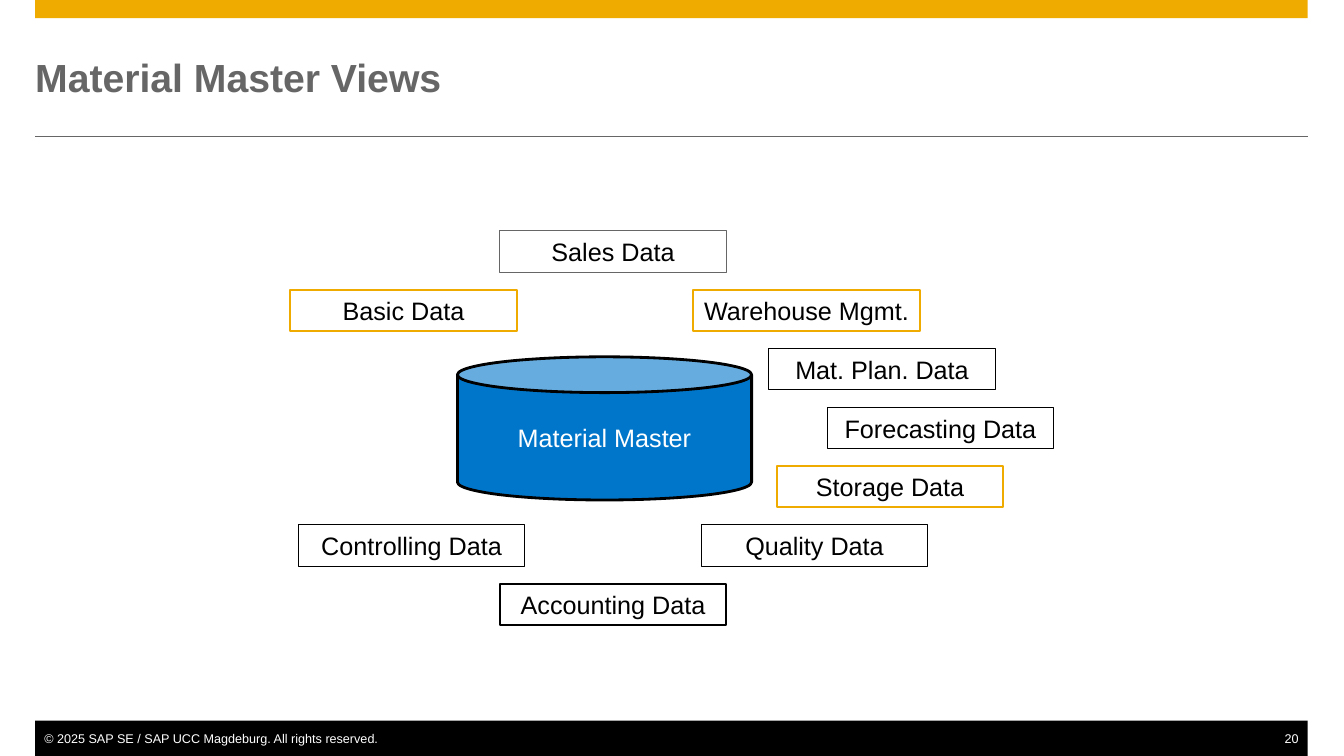
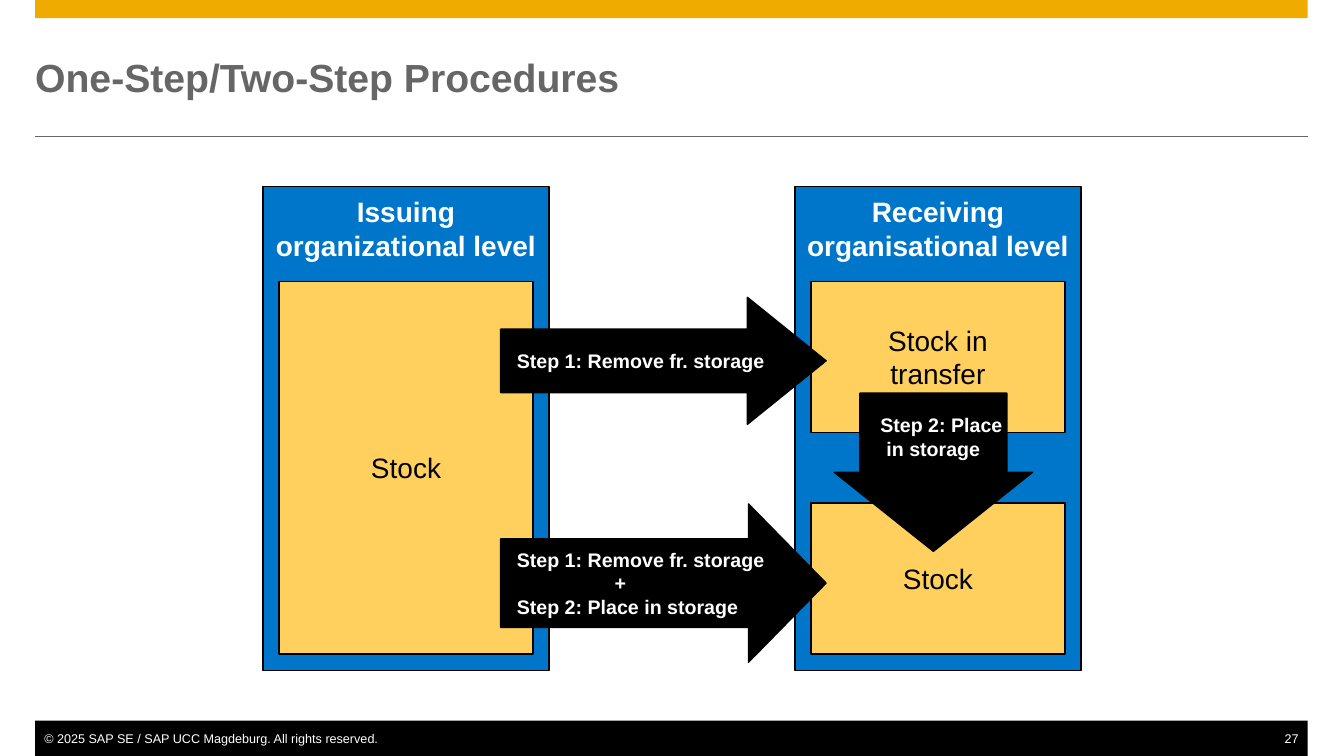
from lxml.etree import SubElement
from pptx import Presentation
from pptx.dml.color import RGBColor
from pptx.enum.shapes import MSO_CONNECTOR, MSO_SHAPE
from pptx.enum.text import MSO_ANCHOR, PP_ALIGN
from pptx.oxml.ns import qn
from pptx.util import Inches, Pt

COLORS = {
    "gold": "F0AB00",
    "sand": "FFD05D",
    "blue": "0076CB",
    "gray": "666666",
    "black": "000000",
    "white": "FFFFFF",
}
FONT = "Arial"
WIDTH, HEIGHT = 13.34, 7.5
LEFT, CONTENT = 0.35, 12.63
RIGHT = LEFT + CONTENT
FOOTER_H = 0.35
COPYRIGHT = "© 2025 SAP SE / SAP UCC Magdeburg. All rights reserved."

VIEW_W, VIEW_H = 2.25, 0.41
VIEW_TOP, VIEW_PITCH = 2.29, 3.5 / 6
VIEWS = [
    ("Sales Data", 4.96, 0, "gray", 0.75),
    ("Basic Data", 2.88, 1, "gold", 1.5),
    ("Warehouse Mgmt.", 6.88, 1, "gold", 1.5),
    ("Mat. Plan. Data", 7.63, 2, "black", 0.75),
    ("Forecasting Data", 8.21, 3, "black", 0.75),
    ("Storage Data", 7.71, 4, "gold", 1.5),
    ("Controlling Data", 2.96, 5, "black", 0.75),
    ("Quality Data", 6.96, 5, "black", 0.75),
    ("Accounting Data", 4.96, 6, "black", 1.5),
]

LEVEL_TOP, LEVEL_W, LEVEL_H = 1.85, 2.84, 4.8
ISSUING_X, RECEIVING_X = 2.61, 7.89
STOCK_PAD, STOCK_TOP = 0.16, 2.79
STOCK_H, HALF_STOCK_H = 3.7, 1.5
ARROW_X, ARROW_W = 4.97, 3.23


def rgb(name):
    return RGBColor.from_string(COLORS[name])


def write(s, text, size, color, bold=False, align=PP_ALIGN.CENTER,
          anchor=MSO_ANCHOR.MIDDLE, insets=(0, 0, 0, 0), wrap=True):
    tf = s.text_frame
    tf.text = text
    tf.word_wrap = wrap
    tf.vertical_anchor = anchor
    tf.margin_left, tf.margin_top, tf.margin_right, tf.margin_bottom = map(Inches, insets)
    for p in tf.paragraphs:
        p.alignment = align
        for r in p.runs:
            r.font.name = FONT
            r.font.size = Pt(size)
            r.font.bold = bold
            r.font.color.rgb = rgb(color)


def indent(p, left=0, first=0):
    pPr = p._p.get_or_add_pPr()
    pPr.set("marL", str(Inches(left)))
    pPr.set("indent", str(Inches(first)))


def add_box(sp, kind, at, fill=None, line=None, weight=1, adjust=()):
    s = sp.add_shape(kind, *map(Inches, at))
    s.shadow.inherit = False
    if fill:
        s.fill.solid()
        s.fill.fore_color.rgb = rgb(fill)
    else:
        s.fill.background()
    if line:
        s.line.color.rgb = rgb(line)
        s.line.width = Pt(weight)
    else:
        s.line.fill.background()
    for i, value in enumerate(adjust):
        s.adjustments[i] = value
    return s


def add_label(sp, at, text, size, color, **style):
    write(sp.add_textbox(*map(Inches, at)), text, size, color, **style)


def add_rule(sp, y):
    line = sp.add_connector(MSO_CONNECTOR.STRAIGHT, Inches(LEFT), Inches(y),
                            Inches(RIGHT), Inches(y))
    line.line.color.rgb = rgb("gray")
    line.line.width = Pt(0.5)
    SubElement(line._element.spPr, qn("a:effectLst"))


def add_page(prs, title, number):
    sp = prs.slides.add_slide(prs.slide_layouts[6]).shapes
    footer_y = HEIGHT - FOOTER_H
    add_box(sp, MSO_SHAPE.RECTANGLE, (LEFT, 0, CONTENT, 0.18), "gold")
    add_rule(sp, 1.35)
    add_box(sp, MSO_SHAPE.RECTANGLE, (LEFT, footer_y, CONTENT, FOOTER_H), "black")
    add_label(sp, (LEFT, footer_y + 0.1, 6, 0.15), COPYRIGHT, 9, "white",
              align=PP_ALIGN.LEFT, insets=(0.09, 0, 0, 0))
    add_label(sp, (RIGHT - 0.5, footer_y + 0.1, 0.5, 0.15), str(number), 9, "white",
              align=PP_ALIGN.RIGHT, insets=(0, 0, 0.09, 0))
    add_label(sp, (LEFT, 0.35, CONTENT, 0.83), title, 28, "gray", bold=True,
              align=PP_ALIGN.LEFT)
    return sp


def add_view(sp, text, x, row, line, weight):
    y = VIEW_TOP + row * VIEW_PITCH
    s = add_box(sp, MSO_SHAPE.RECTANGLE, (x, y, VIEW_W, VIEW_H), None, line, weight)
    write(s, text, 18, "black", wrap=False)


def add_level(sp, x, text):
    s = add_box(sp, MSO_SHAPE.RECTANGLE, (x, LEVEL_TOP, LEVEL_W, LEVEL_H), "blue", "black")
    write(s, text, 20, "white", bold=True, anchor=MSO_ANCHOR.TOP, insets=(0, 0.08, 0, 0))


def add_stock(sp, level_x, y, h, text):
    at = (level_x + STOCK_PAD, y, LEVEL_W - 2 * STOCK_PAD, h)
    s = add_box(sp, MSO_SHAPE.RECTANGLE, at, "sand", "black")
    write(s, text, 20, "black")


def add_step(sp, kind, at, adjust, text, **style):
    s = add_box(sp, kind, at, "black", "black", adjust=adjust)
    write(s, text, 14, "white", bold=True, **style)
    return s.text_frame.paragraphs


def build_views(prs):
    sp = add_page(prs, "Material Master Views", 20)
    can = add_box(sp, MSO_SHAPE.CAN, (4.54, 3.54, 2.92, 1.42), "blue", "black", 2, (0.25,))
    write(can, "Material Master", 18, "white", wrap=False)
    for view in VIEWS:
        add_view(sp, *view)


def build_procedures(prs):
    sp = add_page(prs, "One-Step/Two-Step Procedures", 27)
    lower_y = STOCK_TOP + STOCK_H - HALF_STOCK_H
    add_level(sp, ISSUING_X, "Issuing organizational level")
    add_stock(sp, ISSUING_X, STOCK_TOP, STOCK_H, "Stock")
    add_level(sp, RECEIVING_X, "Receiving organisational level")
    add_stock(sp, RECEIVING_X, STOCK_TOP, HALF_STOCK_H, "Stock in\ntransfer")
    add_stock(sp, RECEIVING_X, lower_y, HALF_STOCK_H, "Stock")

    across = {"align": PP_ALIGN.LEFT, "insets": (0.16, 0, 0, 0)}
    add_step(sp, MSO_SHAPE.RIGHT_ARROW, (ARROW_X, 2.95, ARROW_W, 1.26), (0.5, 0.62),
             "Step 1: Remove fr. storage", **across)
    both = add_step(sp, MSO_SHAPE.RIGHT_ARROW, (ARROW_X, 5, ARROW_W, 1.57), (0.56, 0.49),
                    "Step 1: Remove fr. storage\n+\nStep 2: Place in storage", **across)
    indent(both[1], left=0.97)
    place = add_step(sp, MSO_SHAPE.DOWN_ARROW, (8.28, 3.9, 1.97, 1.57), (0.74, 0.5),
                     "Step 2: Place in storage", anchor=MSO_ANCHOR.TOP,
                     insets=(0, 0.2, 0, 0))
    indent(place[0], first=0.16)


def main():
    prs = Presentation()
    prs.slide_width, prs.slide_height = Inches(WIDTH), Inches(HEIGHT)
    build_views(prs)
    build_procedures(prs)
    prs.save("out.pptx")


if __name__ == "__main__":
    main()
